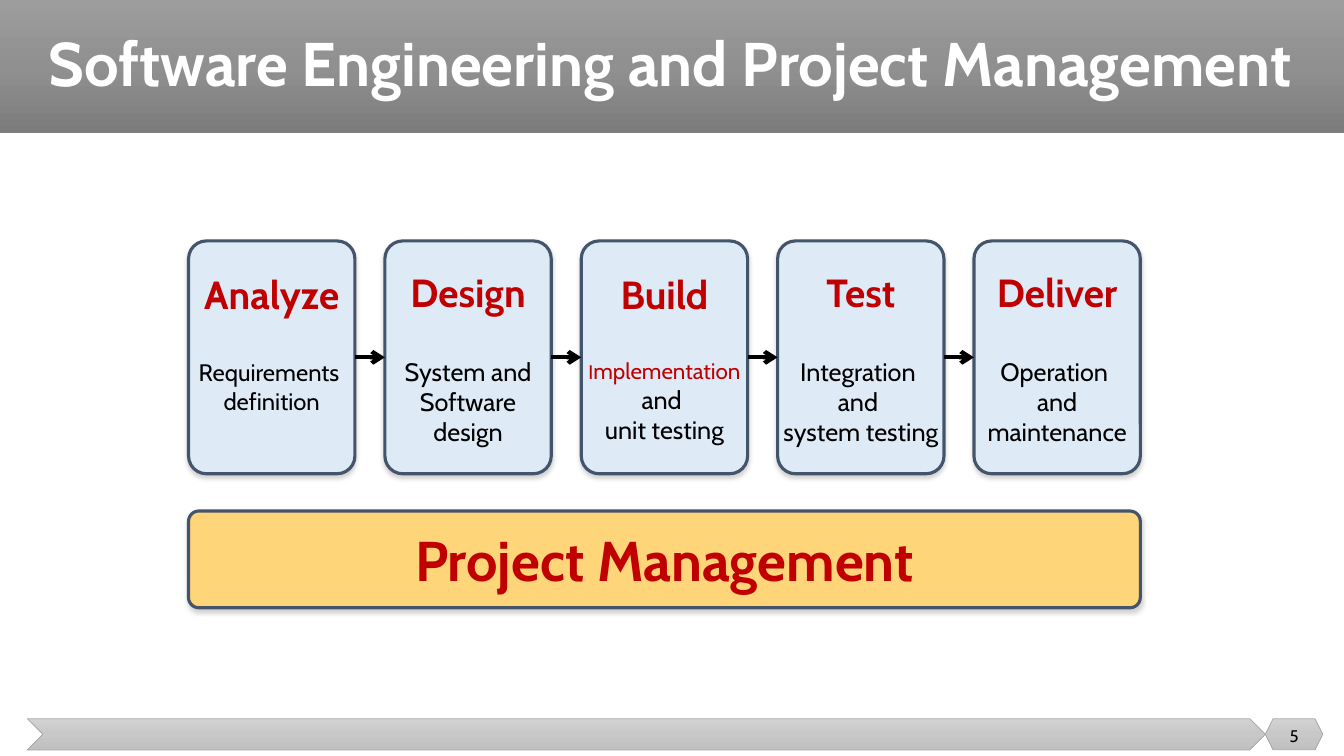
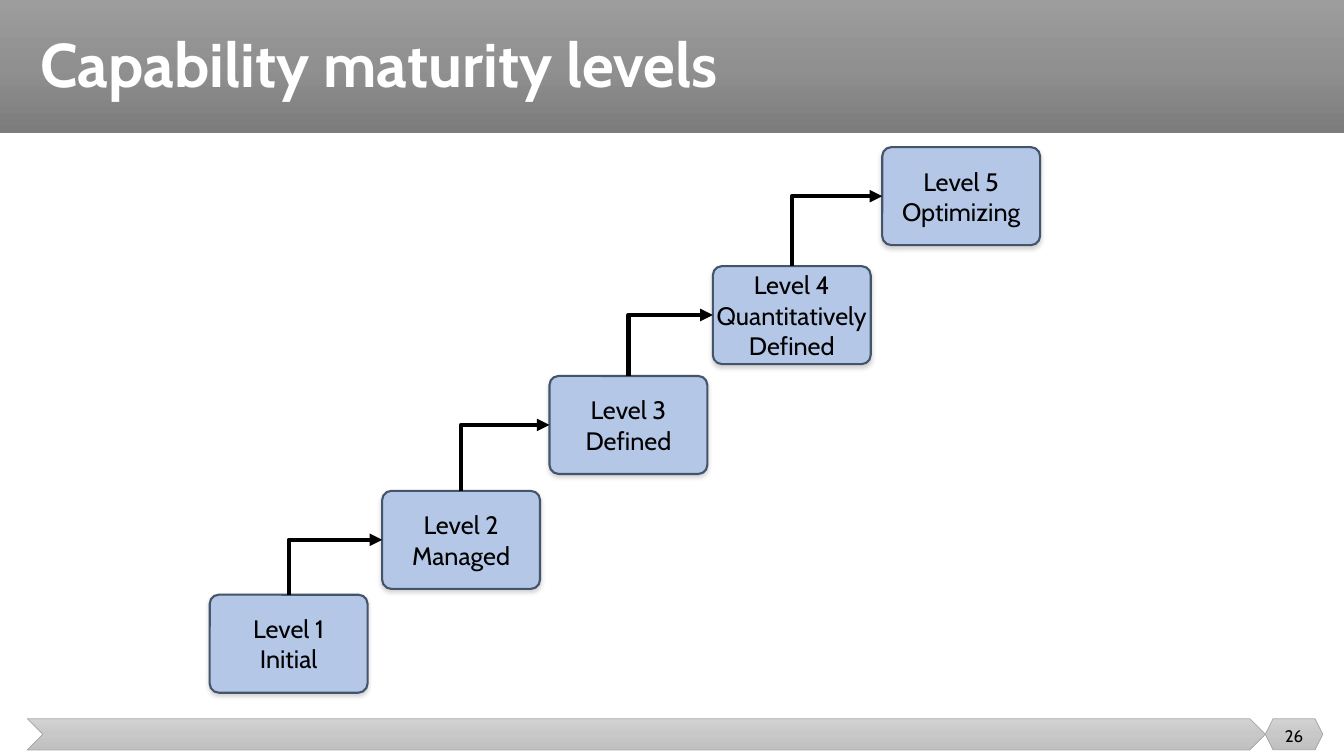
from lxml.etree import SubElement
from pptx import Presentation
from pptx.dml.color import RGBColor
from pptx.enum.shapes import MSO_CONNECTOR as Connector, MSO_SHAPE as Shape
from pptx.enum.text import MSO_ANCHOR as Anchor, MSO_AUTO_SIZE as AutoSize, PP_ALIGN as Align
from pptx.oxml.ns import qn
from pptx.util import Inches, Pt

FONT = "Cabin"
WIDTH, HEIGHT = 13.33, 7.5
COLORS = {
    "text": "000000",
    "title": "FFFFFF",
    "accent": "C00000",
    "outline": "44546A",
    "stage": "DEEBF7",
    "management": "FFD579",
    "level": "B4C7E7",
    "shadow": "808080",
    "footer_line": "A5A5A5",
}
BAND_GRADIENT = ("9D9D9D", "909090", "7C7C7C")
FOOTER_GRADIENT = ("D2D2D2", "C8C8C8", "C0C0C0")
BAND_HEIGHT = 1.32
FOOTER = (0.27, 7.13, 12.28, 0.31)
NUMBER_LEFT, NUMBER_WIDTH = 12.55, 0.57

RED = {"color": "accent"}
STAGES = [
    ("Analyze", 0.29, [("Requirements ", {"size": 17}), ("definition", {"size": 17})]),
    ("Design", 0, [("System and Software design", {})]),
    ("Build", 0, [
        ("I", {"size": 14, **RED}),
        ("mplementation ", {"size": 16, "joined": True, **RED}),
        ("and ", {"joined": True}),
        ("unit testing", {}),
    ]),
    ("Test", 0, [("Integration ", {}), ("and ", {}), ("system testing", {})]),
    ("Deliver", 0, [("Operation ", {}), ("and maintenance", {})]),
]
LEVELS = [
    (0, 4.44, ["Level 1", "Initial"]),
    (1.71, 3.41, ["Level 2", "Managed"]),
    (3.37, 2.27, ["Level 3", "Defined"]),
    (4.99, 1.18, ["Level 4", "Quantitatively", "Defined"]),
    (6.67, 0, ["Level 5", "Optimizing"]),
]


def rgb(name):
    return RGBColor.from_string(COLORS[name])


def inches(box):
    return [Inches(length) for length in box]


def write(shape, text, size=18, color="text", bold=False, align=Align.CENTER,
          before=0, spacing=None, joined=False):
    frame = shape.text_frame
    paragraph = frame.paragraphs[-1]
    if paragraph.runs and not joined:
        paragraph = frame.add_paragraph()
    if not joined:
        paragraph.alignment = align
        if before:
            paragraph.space_before = Pt(before)
        if spacing:
            paragraph.line_spacing = spacing
    run = paragraph.add_run()
    run.text = text
    run.font.name = FONT
    run.font.size = Pt(size)
    run.font.bold = bold
    run.font.color.rgb = rgb(color)


def fill_gradient(shape, stops):
    shape.fill.gradient()
    shape.fill.gradient_angle = 270
    stop_list = shape.element.spPr.find(qn("a:gradFill")).find(qn("a:gsLst"))
    stop_list.clear()
    for index, color in enumerate(stops):
        stop = SubElement(stop_list, qn("a:gs"), pos=str(index * 50000))
        SubElement(stop, qn("a:srgbClr"), val=color)


def add_layout_parts(slide):
    left, top, width, height = FOOTER
    parts = [
        (Shape.RECTANGLE, (0, 0, WIDTH, BAND_HEIGHT), BAND_GRADIENT, False),
        (Shape.CHEVRON, FOOTER, FOOTER_GRADIENT, True),
        (Shape.HEXAGON, (NUMBER_LEFT, top, NUMBER_WIDTH, height), FOOTER_GRADIENT, True),
    ]
    tree = slide.slide_layout.element.cSld.spTree
    for index, (kind, box, gradient, outlined) in enumerate(parts):
        shape = slide.shapes.add_shape(kind, *inches(box))
        shape.shadow.inherit = False
        fill_gradient(shape, gradient)
        if outlined:
            shape.line.color.rgb = rgb("footer_line")
            shape.line.width = Pt(0.5)
        else:
            shape.line.fill.background()
        shape.element.nvSpPr.cNvPr.set("id", str(101 + index))
        tree.insert(2 + index, shape.element)


def add_heading(slide, text, box):
    title = slide.shapes.title
    title.left, title.top, title.width, title.height = inches(box)
    frame = title.text_frame
    frame.word_wrap = True
    frame.auto_size = AutoSize.NONE
    frame.vertical_anchor = Anchor.MIDDLE
    write(title, text, size=44, color="title", bold=True, align=Align.LEFT, spacing=0.9)


def add_number(slide, number):
    label = slide.shapes.add_textbox(*inches((NUMBER_LEFT, 7.1, NUMBER_WIDTH, 0.4)))
    label.text_frame.word_wrap = True
    label.text_frame.vertical_anchor = Anchor.MIDDLE
    write(label, number, size=12)


def add_card(slide, box, fill, line_width, rounding, bottom=0):
    card = slide.shapes.add_shape(Shape.ROUNDED_RECTANGLE, *inches(box))
    card.adjustments[0] = rounding
    card.fill.solid()
    card.fill.fore_color.rgb = rgb(fill)
    card.line.color.rgb = rgb("outline")
    card.line.width = Pt(line_width)
    card.shadow.inherit = False
    effects = card.element.spPr.find(qn("a:effectLst"))
    shadow = SubElement(effects, qn("a:outerShdw"), blurRad=str(Pt(3.1)),
                        dist=str(Pt(1.8)), dir="5400000", rotWithShape="0")
    color = SubElement(shadow, qn("a:srgbClr"), val=COLORS["shadow"])
    SubElement(color, qn("a:alpha"), val="35000")
    frame = card.text_frame
    frame.word_wrap = True
    frame.vertical_anchor = Anchor.MIDDLE
    frame.margin_left = frame.margin_right = frame.margin_top = 0
    frame.margin_bottom = Inches(bottom)
    return card


def style_arrow(connector, head):
    connector.line.color.rgb = rgb("text")
    connector.line.width = Pt(3)
    properties = connector.element.spPr
    SubElement(properties.find(qn("a:ln")), qn("a:tailEnd"), type=head)
    SubElement(properties, qn("a:effectLst"))


def add_straight_arrow(slide, source, target):
    connector = slide.shapes.add_connector(Connector.STRAIGHT, 0, 0, 0, 0)
    connector.begin_connect(source, 3)
    connector.end_connect(target, 1)
    style_arrow(connector, "arrow")


def add_step_arrow(slide, source, target):
    start_x, start_y = source.left + source.width // 2, source.top
    end_x, end_y = target.left, target.top + target.height // 2
    middle_x, middle_y = (start_x + end_x) // 2, (start_y + end_y) // 2
    half_rise, half_run = (start_y - end_y) // 2, (end_x - start_x) // 2
    connector = slide.shapes.add_connector(
        Connector.ELBOW, middle_x + half_rise, middle_y + half_run,
        middle_x - half_rise, middle_y - half_run)
    properties = connector.element.spPr
    properties.find(qn("a:xfrm")).set("rot", "5400000")
    properties.find(qn("a:prstGeom")).set("prst", "bentConnector2")
    style_arrow(connector, "triangle")


def add_process(slide, box):
    left, top, width, height = box
    stage_width, stage_height, bar_height = 1.65, 2.31, 0.96
    pitch = (width - stage_width) / (len(STAGES) - 1)
    cards = []
    for index, (name, bottom, details) in enumerate(STAGES):
        stage_box = (left + index * pitch, top, stage_width, stage_height)
        card = add_card(slide, stage_box, "stage", 2.25, 0.107, bottom)
        write(card, name, size=28, color="accent", bold=True)
        for position, (text, options) in enumerate(details):
            write(card, text, before=0 if position else 29, **options)
        cards.append(card)
    for source, target in zip(cards, cards[1:]):
        add_straight_arrow(slide, source, target)
    bar_box = (left, top + height - bar_height, width, bar_height)
    bar = add_card(slide, bar_box, "management", 2.25, 0.107)
    write(bar, "Project Management", size=40, color="accent", bold=True)


def add_staircase(slide, box):
    left, top, width, height = box
    step_width, step_height = width * 0.19, height * 0.18
    cards = []
    for across, down, lines in LEVELS:
        step_box = (left + across, top + down, step_width, step_height)
        card = add_card(slide, step_box, "level", 1.5, 0.093)
        for line in lines:
            write(card, line)
        cards.append(card)
    for source, target in zip(cards, cards[1:]):
        add_step_arrow(slide, source, target)


def main():
    presentation = Presentation()
    presentation.slide_width, presentation.slide_height = inches((WIDTH, HEIGHT))
    layout = presentation.slide_layouts[5]
    pages = [
        ("Software Engineering and Project Management", (0.38, 0, 12.74, BAND_HEIGHT),
         "5", add_process, (1.87, 2.39, 9.44, 3.64)),
        ("Capability maturity levels", (0.3, 0.13, 10.87, 1.09),
         "26", add_staircase, (2.08, 1.46, 8.24, 5.4)),
    ]
    for index, (heading, heading_box, number, add_diagram, box) in enumerate(pages):
        slide = presentation.slides.add_slide(layout)
        if index == 0:
            add_layout_parts(slide)
        add_heading(slide, heading, heading_box)
        add_number(slide, number)
        add_diagram(slide, box)
    presentation.save("out.pptx")


if __name__ == "__main__":
    main()
